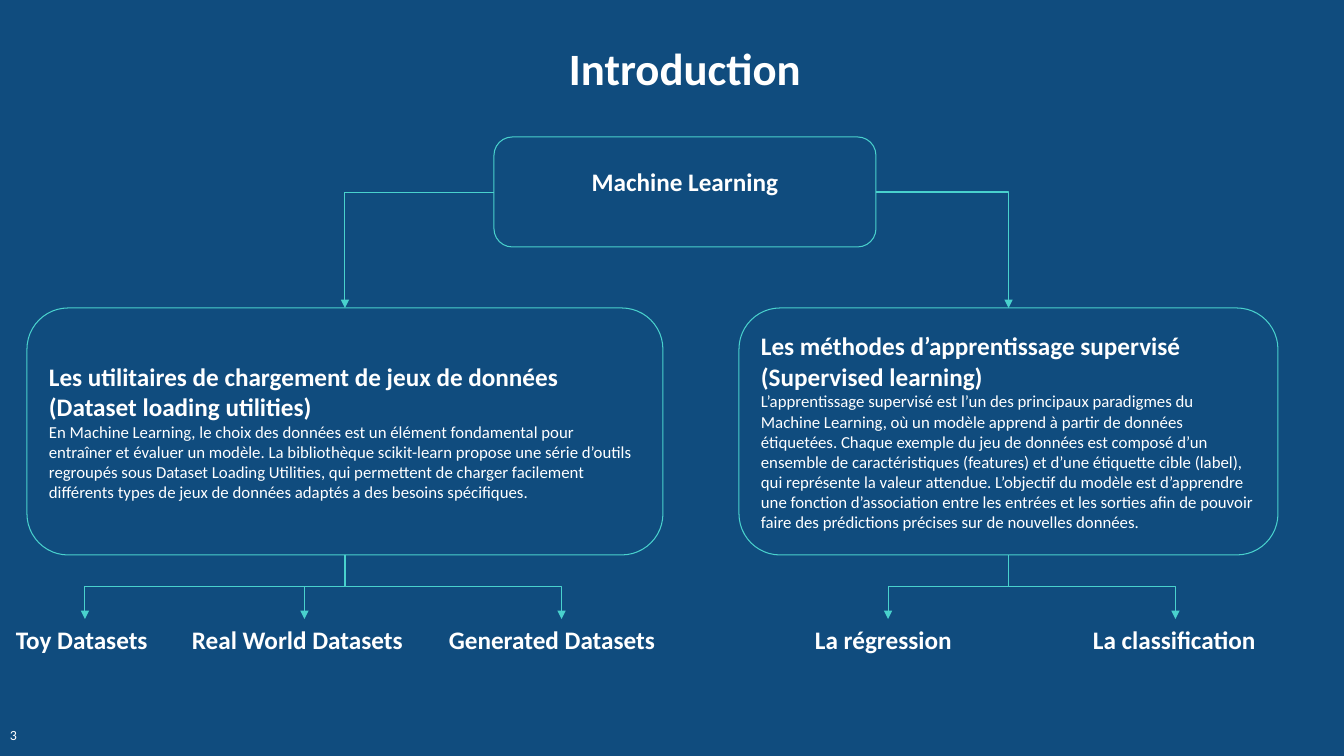
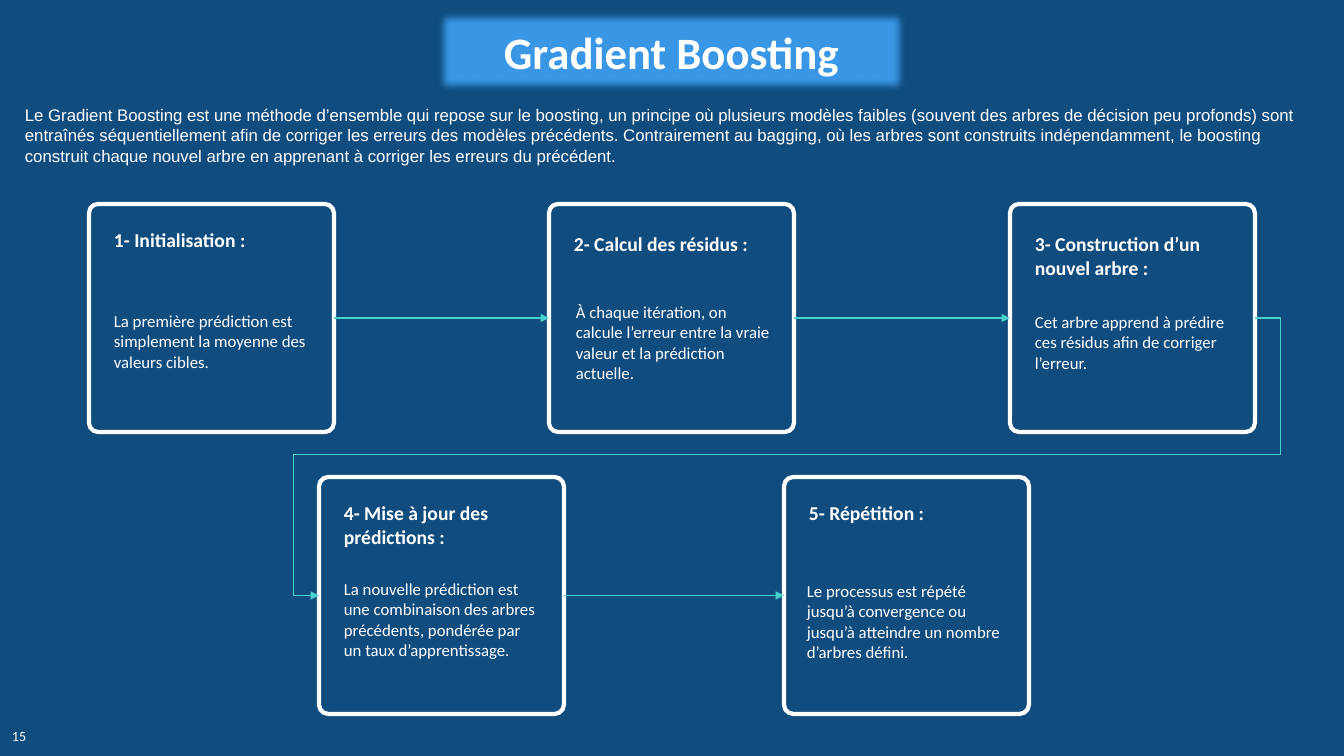
"""Build two French machine learning slides: an overview tree and a boosting workflow."""
from dataclasses import dataclass
from typing import NamedTuple

from lxml.etree import SubElement
from pptx import Presentation
from pptx.dml.color import RGBColor
from pptx.enum.shapes import MSO_CONNECTOR as Link, MSO_SHAPE as Preset
from pptx.enum.text import MSO_ANCHOR as Anchor, MSO_AUTO_SIZE as AutoSize, PP_ALIGN as Align
from pptx.oxml.ns import qn
from pptx.util import Pt

PX = 914400 / 100.8
TOP, LEFT, BOTTOM, RIGHT = range(4)


def px(length: int) -> int:
    return round(length * PX)


@dataclass(frozen=True)
class Theme:
    background: RGBColor = RGBColor(0x10, 0x4C, 0x7E)
    banner: RGBColor = RGBColor(0x3B, 0x98, 0xE6)
    accent: RGBColor = RGBColor(0x49, 0xD1, 0xCD)
    ink: RGBColor = RGBColor(0xFF, 0xFF, 0xFF)
    font: str = "Calibri"
    intro_font: str = "Arial"
    title: int = 32
    heading: int = 18
    card_heading: int = 14
    body: int = 12
    page: int = 10
    thin: float = 0.75
    thick: int = 3


THEME = Theme()


class Area(NamedTuple):
    left: int
    top: int
    width: int
    height: int

    def emu(self) -> tuple:
        return tuple(px(length) for length in self)


class Span(NamedTuple):
    text: str
    size: int
    bold: bool = False
    font: str = THEME.font


class Leaf(NamedTuple):
    text: str
    left: int
    width: int


@dataclass(frozen=True)
class Branch:
    area: Area
    heading: str
    body: str
    trunk_site: int
    leaves: tuple


@dataclass(frozen=True)
class Card:
    left: int
    top: int
    height: int
    heading: str
    heading_top: int
    body: str
    body_left: int
    body_top: int


BRANCHES = (
    Branch(
        Area(27, 308, 636, 247),
        "Les utilitaires de chargement de jeux de données (Dataset loading utilities)",
        "En Machine Learning, le choix des données est un élément fondamental pour entraîner et "
        "évaluer un modèle. La bibliothèque scikit-learn propose une série d’outils regroupés sous "
        "Dataset Loading Utilities, qui permettent de charger facilement différents types de jeux "
        "de données adaptés a des besoins spécifiques.",
        LEFT,
        (Leaf("Toy Datasets", 6, 158), Leaf("Real World Datasets", 182, 245),
         Leaf("Generated Datasets", 439, 245)),
    ),
    Branch(
        Area(739, 308, 539, 247),
        "Les méthodes d’apprentissage supervisé (Supervised learning)",
        "L’apprentissage supervisé est l’un des principaux paradigmes du Machine Learning, où un "
        "modèle apprend à partir de données étiquetées. Chaque exemple du jeu de données est "
        "composé d’un ensemble de caractéristiques (features) et d’une étiquette cible (label), "
        "qui représente la valeur attendue. L’objectif du modèle est d’apprendre une fonction "
        "d’association entre les entrées et les sorties afin de pouvoir faire des prédictions "
        "précises sur de nouvelles données.",
        RIGHT,
        (Leaf("La régression", 805, 166), Leaf("La classification", 1083, 185)),
    ),
)

INTRO = (
    "Le Gradient Boosting est une méthode d’ensemble qui repose sur le boosting, un principe où "
    "plusieurs modèles faibles (souvent des arbres de décision peu profonds) sont entraînés "
    "séquentiellement afin de corriger les erreurs des modèles précédents. Contrairement au "
    "bagging, où les arbres sont construits indépendamment, le boosting construit chaque nouvel "
    "arbre en apprenant à corriger les erreurs du précédent."
)

CARDS = (
    Card(89, 204, 228, "1- Initialisation :", 223,
         "La première prédiction est simplement la moyenne des valeurs cibles.", 104, 306),
    Card(549, 204, 228, "2- Calcul des résidus :", 227,
         "À chaque itération, on calcule l’erreur entre la vraie valeur et la prédiction actuelle.",
         566, 297),
    Card(1010, 204, 228, "3- Construction d’un nouvel arbre :", 227,
         "Cet arbre apprend à prédire ces résidus afin de corriger l’erreur.", 1025, 307),
    Card(319, 477, 237, "4- Mise à jour des prédictions :", 496,
         "La nouvelle prédiction est une combinaison des arbres précédents, pondérée par un taux "
         "d’apprentissage.", 334, 574),
    Card(784, 477, 237, "5- Répétition :", 496,
         "Le processus est répété jusqu’à convergence ou jusqu’à atteindre un nombre d’arbres "
         "défini.", 797, 576),
)


def write(shape, spans: tuple, align=Align.LEFT, anchor=Anchor.TOP) -> None:
    frame = shape.text_frame
    frame.word_wrap = True
    frame.auto_size = AutoSize.NONE
    frame.vertical_anchor = anchor
    for index, span in enumerate(spans):
        para = frame.add_paragraph() if index else frame.paragraphs[0]
        para.alignment = align
        run = para.add_run()
        run.text = span.text
        run.font.name = span.font
        run.font.size = Pt(span.size)
        run.font.bold = span.bold
        run.font.color.rgb = THEME.ink


def add_text(slide, area: Area, span: Span, align=Align.LEFT, anchor=Anchor.TOP):
    box = slide.shapes.add_textbox(*area.emu())
    write(box, (span,), align, anchor)
    return box


def add_frame(slide, area: Area, color: RGBColor, weight: float):
    box = slide.shapes.add_shape(Preset.ROUNDED_RECTANGLE, *area.emu())
    box.shadow.inherit = False
    box.fill.background()
    box.line.color.rgb = color
    box.line.width = Pt(weight)
    return box


def add_slide(deck, title: str, area: Area, page: int, page_area: Area):
    slide = deck.slides.add_slide(deck.slide_layouts[5])
    heading = slide.shapes.title
    heading.left, heading.top, heading.width, heading.height = area.emu()
    write(heading, (Span(title, THEME.title, True),), Align.CENTER, Anchor.MIDDLE)
    add_text(slide, page_area, Span(str(page), THEME.page), Align.RIGHT, Anchor.MIDDLE)
    return slide


def join(slide, start, start_site: int, finish, finish_site: int, kind=Link.STRAIGHT):
    arrow = slide.shapes.add_connector(kind, 0, 0, 0, 0)
    arrow.begin_connect(start, start_site)
    arrow.end_connect(finish, finish_site)
    arrow.line.color.rgb = THEME.accent
    arrow.line.width = Pt(THEME.thin)
    properties = arrow.element.spPr
    SubElement(properties.find(qn("a:ln")), qn("a:tailEnd"), type="triangle")
    SubElement(properties, qn("a:effectLst"))
    return arrow


def bend(arrow, preset: str, turn: int = 0, flip: str = "", adjustments: tuple = ()) -> None:
    start_x, start_y, end_x, end_y = arrow.begin_x, arrow.begin_y, arrow.end_x, arrow.end_y
    width, height = abs(end_x - start_x), abs(end_y - start_y)
    if turn in (90, 270):
        width, height = height, width
    arrow.left, arrow.top = (start_x + end_x - width) // 2, (start_y + end_y - height) // 2
    arrow.width, arrow.height = width, height
    frame = arrow.element.spPr.find(qn("a:xfrm"))
    for name in ("rot", "flipH", "flipV"):
        frame.attrib.pop(name, None)
    if turn:
        frame.set("rot", str(turn * 60000))
    if flip:
        frame.set(flip, "1")
    geometry = arrow.element.spPr.find(qn("a:prstGeom"))
    geometry.set("prst", preset)
    guides = geometry.find(qn("a:avLst"))
    if guides is None:
        guides = SubElement(geometry, qn("a:avLst"))
    for number, value in enumerate(adjustments, 1):
        SubElement(guides, qn("a:gd"), name=f"adj{number}", fmla=f"val {value}")


def add_branch(slide, root, branch: Branch) -> None:
    box = add_frame(slide, branch.area, THEME.accent, THEME.thin)
    write(box, (Span(branch.heading, THEME.heading, True), Span(branch.body, THEME.body)),
          anchor=Anchor.MIDDLE)
    trunk = join(slide, root, branch.trunk_site, box, TOP, Link.ELBOW)
    if branch.trunk_site == LEFT:
        bend(trunk, "bentConnector2", 180, "flipV")
    else:
        bend(trunk, "bentConnector2")
    for leaf in branch.leaves:
        label = add_text(slide, Area(leaf.left, 619, leaf.width, 72),
                         Span(leaf.text, THEME.heading, True))
        twig = join(slide, box, BOTTOM, label, TOP, Link.ELBOW)
        if twig.end_x < twig.begin_x:
            bend(twig, "bentConnector3", 90)
        else:
            bend(twig, "bentConnector3", 270, "flipH")


def add_card(slide, card: Card):
    box = add_frame(slide, Area(card.left, card.top, 245, card.height), THEME.ink, THEME.thick)
    box.adjustments[0] = 0.04
    add_text(slide, Area(card.left + 15, card.heading_top, 215, 57),
             Span(card.heading, THEME.card_heading, True))
    add_text(slide, Area(card.body_left, card.body_top, 215, 92), Span(card.body, THEME.body))
    return box


def build_introduction(deck) -> None:
    slide = add_slide(deck, "Introduction", Area(349, 35, 672, 65), 3, Area(0, 714, 27, 41))
    root = add_frame(slide, Area(494, 137, 382, 110), THEME.accent, THEME.thin)
    write(root, (Span("Machine Learning", THEME.heading, True),), Align.CENTER, Anchor.MIDDLE)
    root.text_frame.margin_bottom = px(25)
    for branch in BRANCHES:
        add_branch(slide, root, branch)


def build_boosting(deck) -> None:
    slide = add_slide(deck, "Gradient Boosting", Area(437, 12, 469, 80), 15, Area(0, 715, 36, 41))
    banner = slide.shapes.title
    banner.fill.solid()
    banner.fill.fore_color.rgb = THEME.banner
    effects = SubElement(banner.element.spPr, qn("a:effectLst"))
    SubElement(effects, qn("a:softEdge"), rad=str(Pt(5)))
    add_text(slide, Area(15, 100, 1313, 71), Span(INTRO, THEME.body, font=THEME.intro_font))
    boxes = [add_card(slide, card) for card in CARDS]
    for start, finish in ((0, 1), (1, 2), (3, 4)):
        join(slide, boxes[start], RIGHT, boxes[finish], LEFT)
    wrap = join(slide, boxes[2], RIGHT, boxes[3], LEFT, Link.ELBOW)
    bend(wrap, "bentConnector5", flip="flipH", adjustments=(-2700, 49100, 102700))


def main() -> None:
    deck = Presentation()
    deck.slide_width, deck.slide_height = px(1344), px(756)
    fill = deck.slide_master.background.fill
    fill.solid()
    fill.fore_color.rgb = THEME.background
    build_introduction(deck)
    build_boosting(deck)
    deck.save("out.pptx")


if __name__ == "__main__":
    main()
